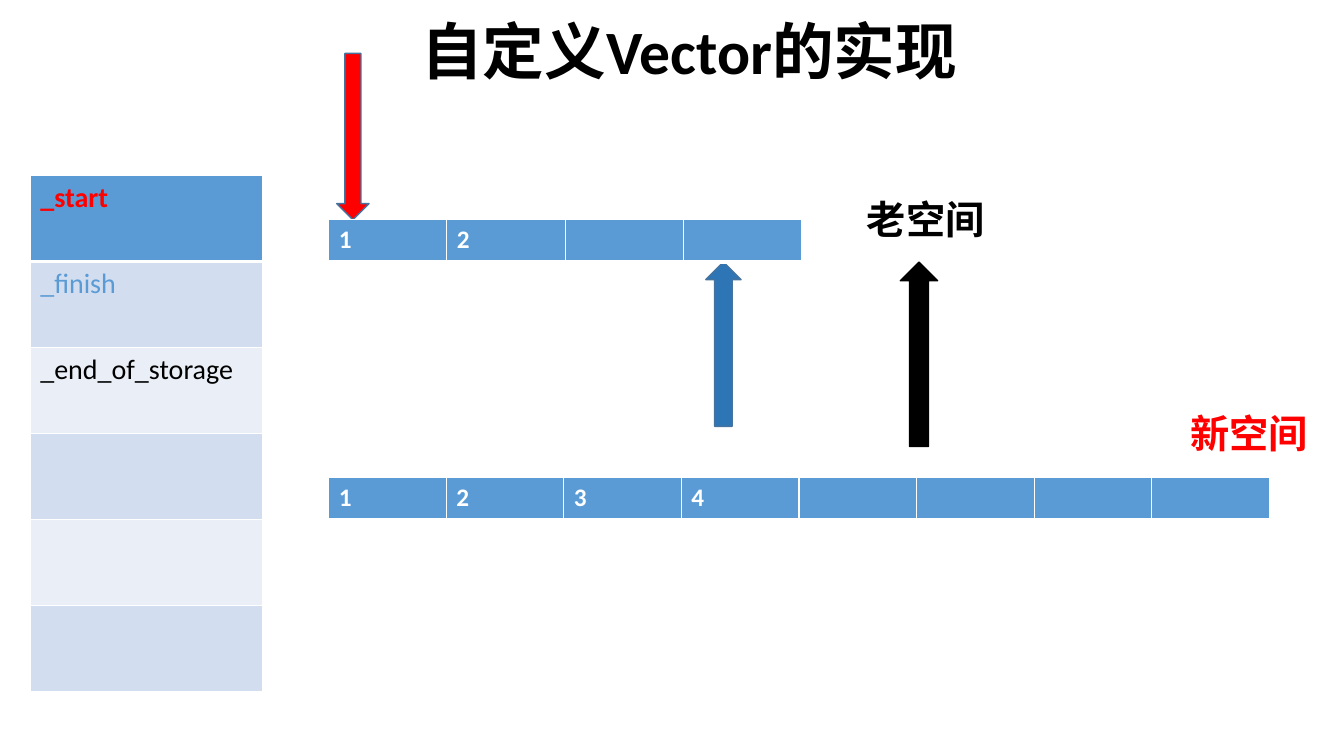
from lxml import etree
from pptx import Presentation
from pptx.dml.color import RGBColor
from pptx.enum.shapes import MSO_SHAPE
from pptx.oxml.ns import qn
from pptx.util import Inches, Pt

DOWN, UP = MSO_SHAPE.DOWN_ARROW, MSO_SHAPE.UP_ARROW
FONT = "Calibri"
WHITE, BLACK, RED, BLUE = "FFFFFF", "000000", "FF0000", "5B9BD5"
BAND_DARK, BAND_LIGHT = "D2DEEF", "EAEFF7"
ARROW_BLUE, ARROW_EDGE = "2E75B6", "43739E"

SLIDE_SIZE = (13.33, 7.5)
ARRAY_LEFT, ARRAY_ROW = 3.26, 0.42
OLD_TOP, NEW_TOP = 2.18, 4.74
OLD_SPACE = ["1", "2", "", ""]
NEW_SPACE = ["1", "2", "3", "4", "", "", "", ""]
MEMBERS = [("_start", RED), ("_finish", BLUE), ("_end_of_storage", BLACK),
           ("", BLACK), ("", BLACK), ("", BLACK)]
OLD_BOTTOM = OLD_TOP + ARRAY_ROW
ARROWS = [
    (DOWN, (3.34, 0.53, 0.32, 1.65), RED, ARROW_EDGE),
    (UP, (7, OLD_BOTTOM, 0.35, 1.63), ARROW_BLUE, ARROW_EDGE),
    (UP, (8.93, OLD_BOTTOM, 0.37, 1.83), BLACK, BLACK),
]
LABELS = [
    ("自定义Vector的实现", (4.08, 0.08, 6.8, 0.84), 44, BLACK),
    ("老空间", (8.5, 1.89, 3.29, 0.57), 28, BLACK),
    ("新空间", (11.71, 4.01, 1.39, 0.57), 28, RED),
]


def rgb(color):
    """Turn a hex string into a colour."""
    return RGBColor.from_string(color)


def inches(box):
    """Turn a box of numbers into lengths."""
    return [Inches(value) for value in box]


def write(text_frame, text, size, color, bold=True):
    """Put formatted text in a frame."""
    paragraph = text_frame.paragraphs[0]
    paragraph.font.size = Pt(size)
    run = paragraph.add_run()
    run.text = text
    run.font.name, run.font.size, run.font.bold = FONT, Pt(size), bold
    run.font.color.rgb = rgb(color)


def add_borders(cell, bottom_width):
    """Give a cell white borders."""
    properties = cell._tc.get_or_add_tcPr()
    for side, width in (("L", 1), ("R", 1), ("T", 1), ("B", bottom_width)):
        line = etree.SubElement(properties, qn(f"a:ln{side}"), w=str(Pt(width)))
        fill = etree.SubElement(line, qn("a:solidFill"))
        etree.SubElement(fill, qn("a:srgbClr"), val=WHITE)


def add_grid(slide, box, rows, size):
    """Add a table from rows of (text, colour, fill)."""
    table = slide.shapes.add_table(len(rows), len(rows[0]), *inches(box)).table
    for column in table.columns:
        column.width = Inches(box[2] / len(rows[0]))
    for row_index, row in enumerate(rows):
        table.rows[row_index].height = Inches(box[3] / len(rows))
        for column_index, (text, color, fill) in enumerate(row):
            cell = table.cell(row_index, column_index)
            is_header = row_index == 0
            add_borders(cell, 3 if is_header else 1)
            cell.fill.solid()
            cell.fill.fore_color.rgb = rgb(fill)
            if text:
                write(cell.text_frame, text, size, color, bold=is_header)


def add_array(slide, top, width, values):
    """Add a one-row table of vector elements."""
    row = [(value, WHITE, BLUE) for value in values]
    add_grid(slide, (ARRAY_LEFT, top, width, ARRAY_ROW), [row], 18)


def add_arrow(slide, preset, box, fill, edge):
    """Add a block arrow."""
    shape = slide.shapes.add_shape(preset, *inches(box))
    shape.shadow.inherit = False
    shape.fill.solid()
    shape.fill.fore_color.rgb = rgb(fill)
    shape.line.color.rgb = rgb(edge)
    shape.line.width = Pt(1)


def add_label(slide, text, box, size, color):
    """Add a wrapped text box."""
    text_frame = slide.shapes.add_textbox(*inches(box)).text_frame
    text_frame.word_wrap = True
    write(text_frame, text, size, color)


def main():
    """Build and save the slide."""
    presentation = Presentation()
    presentation.slide_width, presentation.slide_height = inches(SLIDE_SIZE)
    slide = presentation.slides.add_slide(presentation.slide_layouts[6])
    add_array(slide, NEW_TOP, 9.33, NEW_SPACE)
    bands = [BLUE] + [BAND_DARK, BAND_LIGHT] * 3
    members = [[(text, color, band)] for (text, color), band in zip(MEMBERS, bands)]
    add_grid(slide, (0.3, 1.74, 2.3, 5.12), members, 20)
    for arrow in ARROWS:
        add_arrow(slide, *arrow)
    add_array(slide, OLD_TOP, 4.69, OLD_SPACE)
    for label in LABELS:
        add_label(slide, *label)
    presentation.save("out.pptx")


if __name__ == "__main__":
    main()
